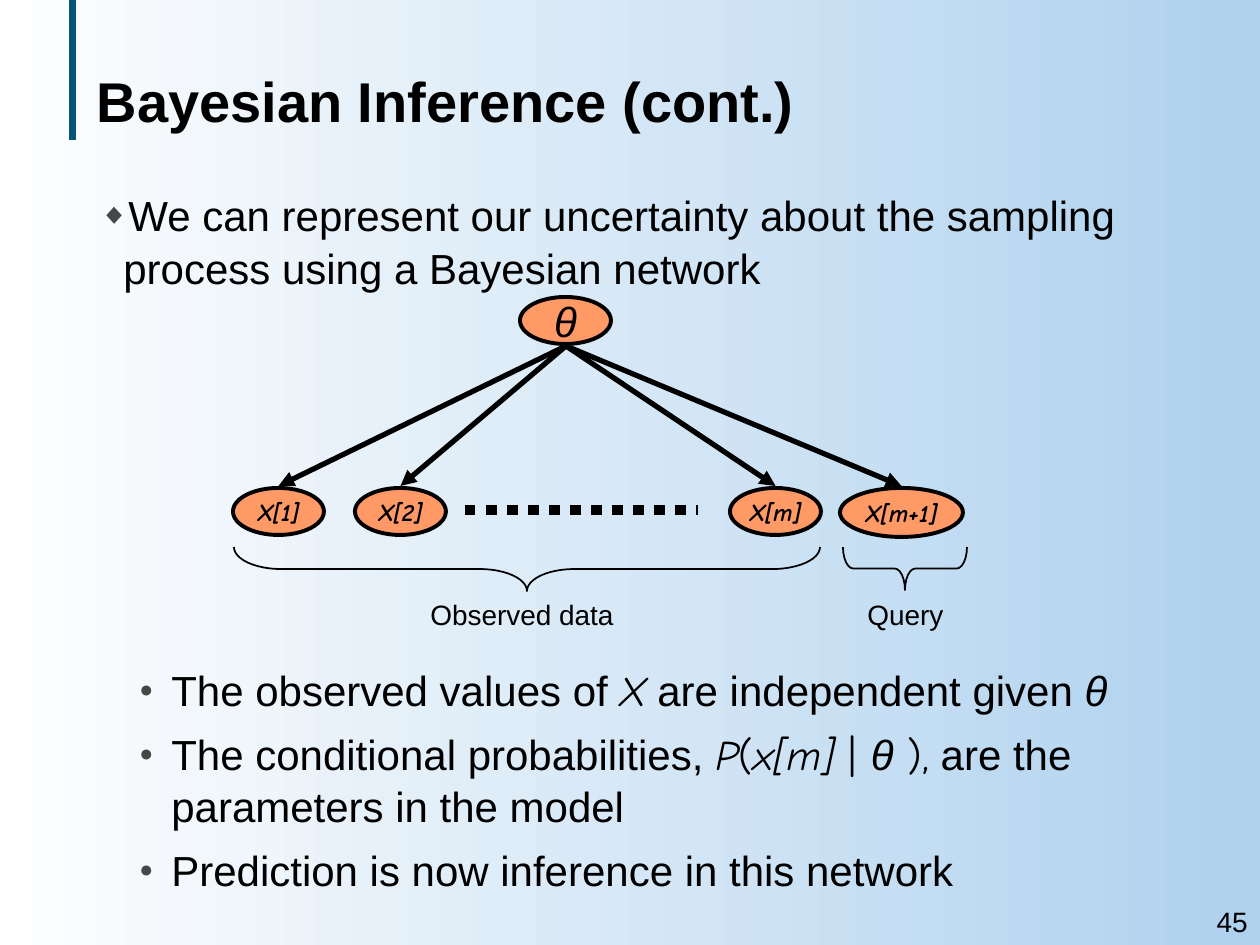
import dataclasses
import lxml.etree
import pptx
import pptx.dml.color
import pptx.enum.dml
import pptx.enum.shapes
import pptx.enum.text
import pptx.oxml.ns
import pptx.util

SCALE = 914400 / 126  # EMU in one px
SHAPE = pptx.enum.shapes.MSO_SHAPE
ALIGN = pptx.enum.text.PP_ALIGN
MID = pptx.enum.text.MSO_ANCHOR.MIDDLE


@dataclasses.dataclass(frozen=True)
class Theme:
    ink: str = "000000"
    bar: str = "07547A"
    node: str = "FF9966"
    mark: str = "474747"
    sky: str = "AED1EE"
    pale: str = "FEFEFE"
    sans: str = "Arial"
    hand: str = "Comic Neue"
    head: int = 32
    body: int = 24
    note: int = 16
    small: int = 14


THEME = Theme()


def px(num):
    return pptx.util.Emu(round(num * SCALE))


def rgb(code):
    return pptx.dml.color.RGBColor.from_string(code)


def sub(parent, tag, **attrs):
    return lxml.etree.SubElement(parent, pptx.oxml.ns.qn(tag), attrs)


def style(run, size, font=THEME.sans, bold=False, slant=False):
    run.font.size = pptx.util.Pt(size)
    run.font.name = font
    run.font.bold = bold
    run.font.italic = slant
    run.font.color.rgb = rgb(THEME.ink)


def write(shape, text, size, align, wrap=True, **look):
    """Put one styled line of text in the middle of a shape."""
    frame = shape.text_frame
    frame.text = text
    frame.word_wrap = wrap
    frame.vertical_anchor = MID
    par = frame.paragraphs[0]
    par.alignment = align
    style(par.runs[0], size, **look)


def label(slide, box, text, align=ALIGN.CENTER):
    shape = slide.shapes.add_textbox(*map(px, box))
    write(shape, text, THEME.note, align)


def line(slide, start, end, width, color=THEME.ink):
    kind = pptx.enum.shapes.MSO_CONNECTOR.STRAIGHT
    link = slide.shapes.add_connector(kind, *map(px, (*start, *end)))
    link.line.width = pptx.util.Pt(width)
    link.line.color.rgb = rgb(color)
    sub(link._element.spPr, "a:effectLst")
    return link


def arrow(slide, start, end):
    link = line(slide, start, end, 3)
    sub(link.line._get_or_add_ln(), "a:tailEnd", type="triangle")


def node(slide, box, text, size, **look):
    shape = slide.shapes.add_shape(SHAPE.OVAL, *map(px, box))
    shape.shadow.inherit = False
    shape.fill.solid()
    shape.fill.fore_color.rgb = rgb(THEME.node)
    shape.line.color.rgb = rgb(THEME.ink)
    shape.line.width = pptx.util.Pt(2.25)
    write(shape, text, size, ALIGN.CENTER, wrap=False, slant=True, **look)


def brace(slide, box, curve):
    """Draw a brace that opens upward and fills the box."""
    left, top, wide, high = box
    turned = (left + (wide - high) / 2, top + (high - wide) / 2, high, wide)
    shape = slide.shapes.add_shape(SHAPE.LEFT_BRACE, *map(px, turned))
    shape.rotation = 270
    shape.adjustments[0] = curve
    shape.shadow.inherit = False
    shape.fill.background()
    shape.line.color.rgb = rgb(THEME.ink)
    shape.line.width = pptx.util.Pt(1)


def points(slide, box, sign, ratio, level, indent, rows):
    """Write bulleted rows; each row is a list of (text, font, slant)."""
    shape = slide.shapes.add_textbox(*map(px, box))
    frame = shape.text_frame
    frame.word_wrap = True
    for i, row in enumerate(rows):
        par = frame.add_paragraph() if i else frame.paragraphs[0]
        props = par._p.get_or_add_pPr()
        props.set("marL", str(px(level)))
        props.set("indent", str(px(-indent)))
        sub(sub(props, "a:buClr"), "a:srgbClr", val=THEME.mark)
        sub(props, "a:buSzPct", val=str(ratio * 1000))
        sub(props, "a:buFont", typeface=THEME.sans)
        sub(props, "a:buChar", char=sign)
        par.line_spacing = 1.05
        if i:
            par.space_before = pptx.util.Pt(6)
        for text, font, slant in row:
            run = par.add_run()
            run.text = text
            style(run, THEME.body, font, slant=slant)


def header(slide, box):
    left, top, wide, high = box
    line(slide, (left - 11, 0), (left - 11, 140), 4, THEME.bar)
    title = slide.shapes.title
    title.left, title.top, title.width, title.height = map(px, box)
    write(title, "Bayesian Inference (cont.)", THEME.head, ALIGN.LEFT, bold=True)


def network(slide, box):
    left, top, wide, high = box
    root = (left + 333, top + 49)
    row = top + 191
    # Arrows from the parameter, then the data nodes
    leaves = [("X[1]", 0, 91, 47), ("X[2]", 122, 91, 47),
              ("X[m]", 497, 91, 47), ("X[m+1]", 607, 123, 49)]
    for text, x, w, h in leaves:
        arrow(slide, root, (left + x + w / 2, row - 2))
        node(slide, (left + x, row, w, h), text, THEME.small,
             font=THEME.hand, bold=True)
    node(slide, (left + 287, top, 91, 47), "θ", THEME.body)
    # Dots for the nodes left out
    dots = line(slide, (left + 232, row + 22), (left + 465, row + 22), 6)
    dots.line.dash_style = pptx.enum.dml.MSO_LINE.ROUND_DOT
    # Braces and their captions
    brace(slide, (left + 1, top + 250, 586, 44), 1.08)
    brace(slide, (left + 610, top + 250, 124, 43), 0.24)
    label(slide, (left + 185, top + 294, 208, 47), "Observed data")
    label(slide, (left + 615, top + 294, 115, 47), "Query")


def main():
    deck = pptx.Presentation()
    deck.slide_width, deck.slide_height = px(1260), px(945)
    slide = deck.slides.add_slide(deck.slide_layouts[5])
    # Background
    fill = slide.background.fill
    fill.gradient()
    fill.gradient_angle = 180
    for stop, place, code in zip(fill.gradient_stops, (0, 1), (THEME.sky, THEME.pale)):
        stop.position = place
        stop.color.rgb = rgb(code)
    header(slide, (84, 21, 1124, 158))
    # Opening point, diagram, closing points
    sans, hand = THEME.sans, THEME.hand
    points(slide, (87, 181, 1145, 116), "◆", 70, 24, 24, [
        [("We can represent our uncertainty about the sampling "
          "process using a Bayesian network", sans, False)]])
    network(slide, (233, 297, 734, 341))
    points(slide, (87, 656, 1145, 240), "●", 55, 72, 32, [
        [("The observed values of ", sans, False), ("X", hand, True),
         (" are independent given ", sans, False), ("θ", sans, True)],
        [("The conditional probabilities, ", sans, False), ("P", hand, True),
         ("(", hand, False), ("x[m] ", hand, True), ("| ", hand, False),
         ("θ", sans, True), (" ),", hand, False),
         (" are the parameters in the model", sans, False)],
        [("Prediction is now inference in this network", sans, False)]])
    # Page number
    label(slide, (1133, 898, 127, 47), "45", ALIGN.RIGHT)
    deck.save("out.pptx")


if __name__ == "__main__":
    main()
